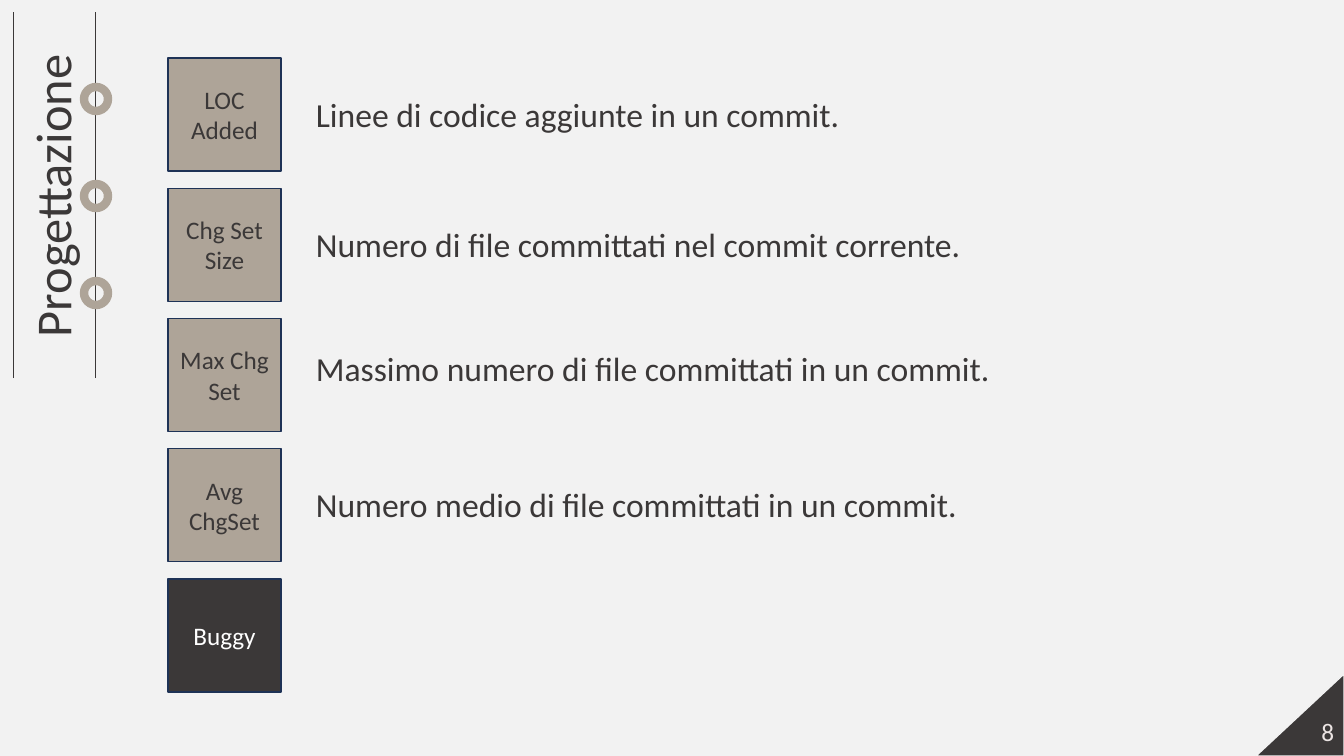
import lxml.etree
import pptx
import pptx.dml.color
import pptx.enum.shapes
import pptx.enum.text
import pptx.oxml.ns
import pptx.util

RGB = pptx.dml.color.RGBColor
SHAPE = pptx.enum.shapes.MSO_SHAPE
ALIGN = pptx.enum.text.PP_ALIGN
ANCHOR = pptx.enum.text.MSO_ANCHOR

PAPER = RGB(0xF2, 0xF2, 0xF2)
DARK = RGB(0x3B, 0x38, 0x38)
SAND = RGB(0xAE, 0xA4, 0x98)
NAVY = RGB(0x1E, 0x32, 0x56)
WHITE = RGB(0xFF, 0xFF, 0xFF)
PALE = RGB(0xEB, 0xE4, 0xE3)

WIDE, HIGH = 1344, 756
SCALE = 12192000 / WIDE

METRICS = [
    ("LOC\nAdded", "Linee di codice aggiunte in un commit.", 31),
    ("Chg Set\nSize", "Numero di file committati nel commit corrente.", 31),
    ("Max Chg Set", "Massimo numero di file committati in un commit.", 24),
    ("Avg\nChgSet", "Numero medio di file committati in un commit.", 30),
    ("Buggy", None, 0),
]


def emu(*px):
    """Turn pixel lengths into EMU."""
    return [pptx.util.Emu(round(n * SCALE)) for n in px]


def write(shape, text, size, color, align, anchor):
    """Put styled text into a shape."""
    frame = shape.text_frame
    frame.text = text
    frame.word_wrap = True
    frame.vertical_anchor = anchor
    for para in frame.paragraphs:
        para.alignment = align
        para.line_spacing = 1.0
        para.font.name = "Calibri"
        para.font.size = pptx.util.Pt(size)
        para.font.color.rgb = color


def draw(slide, kind, box, fill, line, width):
    """Add a flat preset shape; no fill color leaves it hollow."""
    shape = slide.shapes.add_shape(kind, *emu(*box))
    shape.shadow.inherit = False
    if fill is None:
        shape.fill.background()
    else:
        shape.fill.solid()
        shape.fill.fore_color.rgb = fill
    shape.line.color.rgb = line
    shape.line.width = pptx.util.Pt(width)
    return shape


def label(slide, box, text, size, color, align, anchor):
    """Add a text box."""
    shape = slide.shapes.add_textbox(*emu(*box))
    write(shape, text, size, color, align, anchor)


def rail(slide, left, top, width, height):
    """Draw the two rules, the rings and the upright title."""
    for x in (left, left + width):
        rule = slide.shapes.add_connector(
            pptx.enum.shapes.MSO_CONNECTOR.STRAIGHT,
            *emu(x, top + height, x, top))
        rule.line.color.rgb = DARK
        rule.line.width = pptx.util.Pt(0.5)
        lxml.etree.SubElement(
            rule._element.spPr, pptx.oxml.ns.qn("a:effectLst"))
    ring = 24
    for step in range(3):
        box = (left + width - 11, top + 75 + 97 * step, ring, ring)
        draw(slide, SHAPE.OVAL, box, None, SAND, 6)
    long, deep = 324, 102
    title = slide.shapes.title
    title.left, title.top, title.width, title.height = emu(
        left + 54 - long // 2, top + 184 - deep // 2, long, deep)
    title.rotation = 270
    write(title, "Progettazione", 36, DARK, ALIGN.CENTER, ANCHOR.TOP)
    title.text_frame.auto_size = pptx.enum.text.MSO_AUTO_SIZE.NONE


def grid(slide, left, top, width, height):
    """Stack the metric tiles evenly, each with its description."""
    side, inset = 113, 138
    pitch = (height - side) / (len(METRICS) - 1)
    for row, (name, note, drop) in enumerate(METRICS):
        y = top + row * pitch
        fill, ink = (SAND, DARK) if note else (DARK, WHITE)
        tile = draw(slide, SHAPE.RECTANGLE, (left, y, side, side),
                    fill, NAVY, 1)
        write(tile, name, 18, ink, ALIGN.CENTER, ANCHOR.MIDDLE)
        if note:
            label(slide, (left + inset, y + drop, width - inset, 50),
                  note, 24, DARK, ALIGN.LEFT, ANCHOR.TOP)


def corner(slide, left, top, width, height):
    """Draw the corner triangle and the page number."""
    wedge = draw(slide, SHAPE.ISOSCELES_TRIANGLE,
                 (left, top, width, height), DARK, PAPER, 1)
    wedge.adjustments[0] = 1
    span, deep = 302, 40
    label(slide, (left + width - span, top + 37, span, deep),
          "8", 18, PALE, ALIGN.RIGHT, ANCHOR.MIDDLE)


def main():
    """Build and save the slide."""
    deck = pptx.Presentation()
    deck.slide_width, deck.slide_height = emu(WIDE, HIGH)
    slide = deck.slides.add_slide(deck.slide_layouts.get_by_name("Title Only"))
    slide.background.fill.solid()
    slide.background.fill.fore_color.rgb = PAPER
    rail(slide, 13, 12, 82, 366)
    grid(slide, 168, 58, 1101, 634)
    corner(slide, 1256, 674, 88, 82)
    deck.save("out.pptx")


if __name__ == "__main__":
    main()
